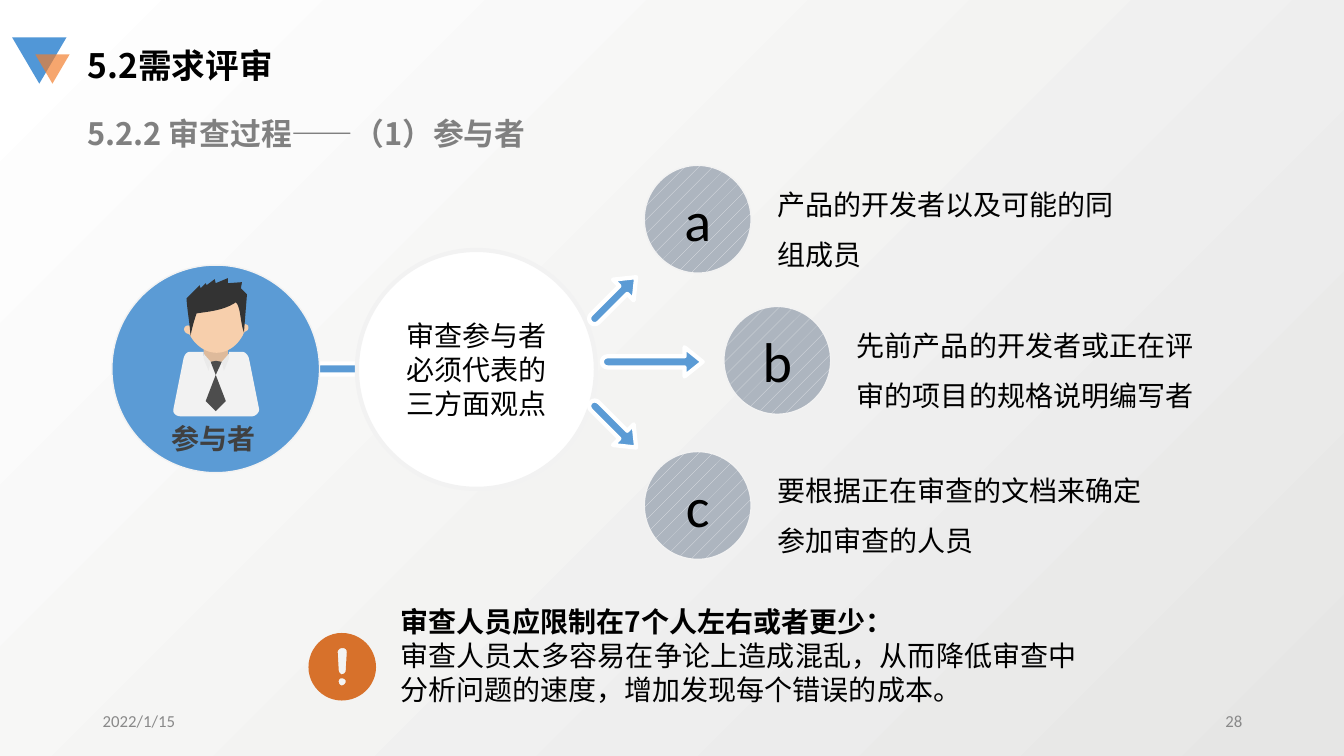
from dataclasses import dataclass
from math import atan2, cos, hypot, pi, sin

from lxml.etree import SubElement
from pptx import Presentation
from pptx.dml.color import RGBColor
from pptx.enum.dml import MSO_PATTERN
from pptx.enum.shapes import MSO_SHAPE
from pptx.enum.text import MSO_ANCHOR, PP_ALIGN
from pptx.oxml.ns import qn
from pptx.util import Inches, Pt


@dataclass(frozen=True)
class Theme:
    latin: str = "Calibri"
    chinese: str = "Noto Sans CJK SC"
    black: str = "000000"
    white: str = "FFFFFF"
    backdrop: str = "E6E6E5"
    blue: str = "5B9BD5"
    logo_blue: str = "5197D7"
    logo_orange: str = "F37D2A"
    alert: str = "D7712B"
    pale: str = "F2F2F2"
    badge: str = "ADB5BF"
    badge_dots: str = "E4E6EA"
    subtitle: str = "808080"
    footer: str = "898989"
    label: str = "404040"
    skin: str = "F7CFAC"
    neck: str = "DEBA9B"
    hair: str = "333333"
    tie: str = "4D4D4D"
    collar: str = "EAEAEA"
    title_size: int = 24
    subtitle_size: int = 22
    body_size: int = 20
    letter_size: int = 40
    footer_size: int = 12


THEME = Theme()


def rgb(value):
    return RGBColor.from_string(value)


def write_text(shape, text, size=THEME.body_size, color=THEME.black, font=THEME.latin,
               bold_lines=0, align=PP_ALIGN.LEFT, anchor=MSO_ANCHOR.TOP, spacing=None):
    """Fill a shape with one paragraph per line; the first bold_lines are bold."""
    frame = shape.text_frame
    frame.word_wrap = True
    frame.vertical_anchor = anchor
    frame.text = text
    for index, paragraph in enumerate(frame.paragraphs):
        paragraph.alignment = align
        if spacing:
            paragraph.line_spacing = spacing
        run_font = paragraph.runs[0].font
        run_font.size = Pt(size)
        run_font.bold = index < bold_lines
        run_font.color.rgb = rgb(color)
        run_font.name = font
        east_asian = SubElement(paragraph.runs[0]._r.get_or_add_rPr(), qn("a:ea"))
        east_asian.set("typeface", THEME.chinese)


def flatten(path):
    """Turn points and cubic curves (six numbers) into a list of points."""
    points = [path[0]]
    for step in path[1:]:
        if len(step) == 2:
            points.append(step)
            continue
        x0, y0 = points[-1]
        x1, y1, x2, y2, x3, y3 = step
        for t in (index / 12 for index in range(1, 13)):
            u = 1 - t
            weights = (u ** 3, 3 * u * u * t, 3 * u * t * t, t ** 3)
            points.append((sum(w * x for w, x in zip(weights, (x0, x1, x2, x3))),
                           sum(w * y for w, y in zip(weights, (y0, y1, y2, y3)))))
    return points


class SlideBuilder:
    def __init__(self, presentation, theme):
        self.theme = theme
        self.slide = presentation.slides.add_slide(presentation.slide_layouts[5])
        self.shapes = self.slide.shapes

    def background(self):
        fill = self.slide.background.fill
        fill.gradient()
        fill.gradient_angle = 135
        for stop, color in zip(fill.gradient_stops, (self.theme.backdrop, self.theme.white)):
            stop.color.rgb = rgb(color)

    def title(self, text, box, **style):
        shape = self.shapes.title
        shape.left, shape.top, shape.width, shape.height = map(Inches, box)
        write_text(shape, text, **style)

    def text(self, text, box, **style):
        write_text(self.shapes.add_textbox(*map(Inches, box)), text, **style)

    def paint(self, shape, fill, line=None, line_width=1):
        shape.shadow.inherit = False
        shape.fill.solid()
        shape.fill.fore_color.rgb = rgb(fill)
        if line:
            shape.line.color.rgb = rgb(line)
            shape.line.width = Pt(line_width)
        else:
            shape.line.fill.background()
        return shape

    def preset(self, kind, box, fill, line=None, line_width=1):
        return self.paint(self.shapes.add_shape(kind, *map(Inches, box)), fill, line, line_width)

    def triangle(self, box, fill, alpha=100):
        shape = self.preset(MSO_SHAPE.ISOSCELES_TRIANGLE, box, fill)
        shape.rotation = 180
        color = shape.fill._xPr.find(qn("a:solidFill"))[0]
        SubElement(color, qn("a:alpha")).set("val", str(alpha * 1000))

    def outline(self, paths, fill, line=None, line_width=1):
        builder = None
        for path in paths:
            points = [(Inches(x), Inches(y)) for x, y in flatten(path)]
            if builder is None:
                builder = self.shapes.build_freeform(*points[0], scale=1.0)
            else:
                builder.move_to(*points[0])
            builder.add_line_segments(points[1:], close=True)
        return self.paint(builder.convert_to_shape(), fill, line, line_width)

    def arrow(self, tail, tip):
        """Draw a block arrow with a round tail, from tail to tip."""
        (x, y), (tip_x, tip_y) = tail, tip
        length, angle = hypot(tip_x - x, tip_y - y), atan2(tip_y - y, tip_x - x)
        half, head = 0.055, length - 0.18
        cap = [(half - half * sin(pi * k / 8), half * cos(pi * k / 8)) for k in range(9)]
        along = cap + [(head, -half), (head, -0.145), (length, 0), (head, 0.145), (head, half)]
        points = [(x + a * cos(angle) - b * sin(angle), y + a * sin(angle) + b * cos(angle))
                  for a, b in along]
        self.outline([points], self.theme.blue, self.theme.white, 3)

    def viewpoint(self, letter, text, left, top, text_width):
        badge = self.preset(MSO_SHAPE.OVAL, (left, top, 1.06, 1.07),
                            self.theme.badge, self.theme.pale)
        badge.fill.patterned()
        badge.fill.pattern = MSO_PATTERN.PERCENT_5
        badge.fill.fore_color.rgb = rgb(self.theme.badge_dots)
        badge.fill.back_color.rgb = rgb(self.theme.badge)
        write_text(badge, letter, size=self.theme.letter_size, align=PP_ALIGN.CENTER,
                   anchor=MSO_ANCHOR.MIDDLE)
        self.text(text, (left + 1.22, top, text_width, 1.07), spacing=1.5)

    def participant(self):
        theme = self.theme
        self.preset(MSO_SHAPE.OVAL, (1.11, 2.63, 2.06, 2.06), theme.blue, theme.pale)
        self.preset(MSO_SHAPE.RECTANGLE, (2.02, 3.38, 0.24, 0.21), theme.neck)
        shirt = [(1.89, 3.49), (2.02, 3.49), (2.02, 3.52), (2.02, 3.56, 2.06, 3.59, 2.1, 3.59),
                 (2.19, 3.59), (2.23, 3.59, 2.27, 3.56, 2.27, 3.52), (2.27, 3.49), (2.4, 3.49),
                 (2.43, 3.49, 2.46, 3.52, 2.47, 3.56), (2.57, 4.06),
                 (2.57, 4.1, 2.53, 4.13, 2.5, 4.13), (1.79, 4.13),
                 (1.75, 4.13, 1.71, 4.1, 1.72, 4.06), (1.82, 3.56),
                 (1.83, 3.52, 1.85, 3.49, 1.89, 3.49)]
        tie = [(2.14, 3.58), (2.2, 3.59), (2.14, 3.72), (2.24, 3.98), (2.14, 4.08),
               (2.04, 3.98), (2.14, 3.72), (2.09, 3.59)]
        face = [(2.15, 2.89), (2.37, 2.85, 2.38, 2.9, 2.41, 3.22),
                (2.43, 3.21, 2.45, 3.22, 2.46, 3.23), (2.47, 3.26, 2.46, 3.28, 2.43, 3.29),
                (2.42, 3.3), (2.37, 3.42, 2.26, 3.5, 2.15, 3.5),
                (2.04, 3.5, 1.94, 3.43, 1.88, 3.32), (1.86, 3.31),
                (1.83, 3.3, 1.82, 3.27, 1.83, 3.25), (1.84, 3.23, 1.87, 3.22, 1.89, 3.24),
                (1.9, 3.24), (1.91, 3.13), (1.93, 2.98, 2, 2.92, 2.15, 2.89)]
        hair = [(1.89, 3.33), (1.88, 3.19, 1.86, 3.1, 1.85, 2.96), (1.98, 2.83), (1.99, 2.86),
                (2.04, 2.81), (2.05, 2.83), (2.13, 2.77), (2.14, 2.81), (2.26, 2.76),
                (2.26, 2.81), (2.4, 2.8), (2.39, 2.86), (2.45, 2.92), (2.42, 3.3),
                (2.38, 3.19, 2.39, 3.05, 2.34, 3), (2.22, 3.08, 2.08, 3.09, 1.95, 3.11),
                (1.92, 3.2, 1.91, 3.24, 1.89, 3.33)]
        collar = [[(edge, 3.56), (edge, 3.51), (edge + side * 0.07, 3.59),
                   (edge + side * 0.05, 3.68)] for edge, side in ((2.02, 1), (2.27, -1))]
        for paths, color in (([shirt], theme.pale), ([tie], theme.tie), ([face], theme.skin),
                             ([hair], theme.hair), (collar, theme.collar)):
            self.outline(paths, color)
        self.text("参与者", (1.58, 4.13, 1.08, 0.38), color=theme.label, font=theme.chinese,
                  bold_lines=1, align=PP_ALIGN.CENTER)

    def alert_icon(self):
        disc = [(3.39, 6.28), (3.21, 6.28, 3.06, 6.43, 3.06, 6.62),
                (3.06, 6.8, 3.21, 6.95, 3.39, 6.95), (3.58, 6.95, 3.73, 6.8, 3.73, 6.62),
                (3.73, 6.43, 3.58, 6.28, 3.39, 6.28)]
        dot = [(3.39, 6.8), (3.37, 6.8, 3.36, 6.78, 3.36, 6.76),
               (3.36, 6.74, 3.37, 6.73, 3.39, 6.73), (3.41, 6.73, 3.43, 6.74, 3.43, 6.76),
               (3.43, 6.78, 3.41, 6.8, 3.39, 6.8)]
        bar = [(3.43, 6.65), (3.43, 6.67, 3.41, 6.69, 3.39, 6.69),
               (3.38, 6.69, 3.36, 6.67, 3.36, 6.65), (3.35, 6.47),
               (3.35, 6.45, 3.37, 6.43, 3.39, 6.43), (3.4, 6.43),
               (3.43, 6.43, 3.44, 6.45, 3.44, 6.47)]
        self.outline([disc, dot, bar], self.theme.alert)


def main():
    presentation = Presentation()
    presentation.slide_width, presentation.slide_height = Inches(13.33), Inches(7.5)
    theme = THEME
    page = SlideBuilder(presentation, theme)
    page.background()
    page.title("5.2需求评审", (0.77, 0.4, 3.35, 0.5), size=theme.title_size,
               font=theme.chinese, bold_lines=1)
    page.text("5.2.2 审查过程——（1）参与者", (0.77, 1.09, 4.95, 0.47), size=theme.subtitle_size,
              color=theme.subtitle, font=theme.chinese, bold_lines=1)
    page.triangle((0.12, 0.37, 0.54, 0.46), theme.logo_blue)
    page.triangle((0.35, 0.54, 0.34, 0.29), theme.logo_orange, alpha=68)
    for text, left, align in (("2022/1/15", 0.92, PP_ALIGN.LEFT), ("28", 9.42, PP_ALIGN.RIGHT)):
        page.text(text, (left, 6.95, 3, 0.4), size=theme.footer_size, color=theme.footer,
                  align=align, anchor=MSO_ANCHOR.MIDDLE)

    page.arrow((3.12, 3.66), (3.92, 3.66))
    page.participant()
    hub = page.preset(MSO_SHAPE.OVAL, (3.54, 2.48, 2.37, 2.37), theme.white, theme.pale, 3)
    write_text(hub, "审查参与者\n必须代表的三方面观点", font=theme.chinese,
               align=PP_ALIGN.CENTER, anchor=MSO_ANCHOR.MIDDLE)
    for tail, tip in (((5.97, 3.59), (6.97, 3.59)), ((5.86, 3.99), (6.31, 4.44)),
                      ((5.86, 3.2), (6.31, 2.75))):
        page.arrow(tail, tip)

    page.viewpoint("a", "产品的开发者以及可能的同组成员", 6.39, 1.64, 3.75)
    page.viewpoint("b", "先前产品的开发者或正在评审的项目的规格说明编写者", 7.18, 3.04, 3.64)
    page.viewpoint("c", "要根据正在审查的文档来确定参加审查的人员", 6.39, 4.48, 4.08)
    page.alert_icon()
    page.text("审查人员应限制在7个人左右或者更少：\n"
              "审查人员太多容易在争论上造成混乱，从而降低审查中分析问题的速度，增加发现每个错误的成本。",
              (3.87, 6.17, 6.91, 0.88), font=theme.chinese, bold_lines=1,
              align=PP_ALIGN.JUSTIFY, anchor=MSO_ANCHOR.BOTTOM)
    presentation.save("out.pptx")


if __name__ == "__main__":
    main()
